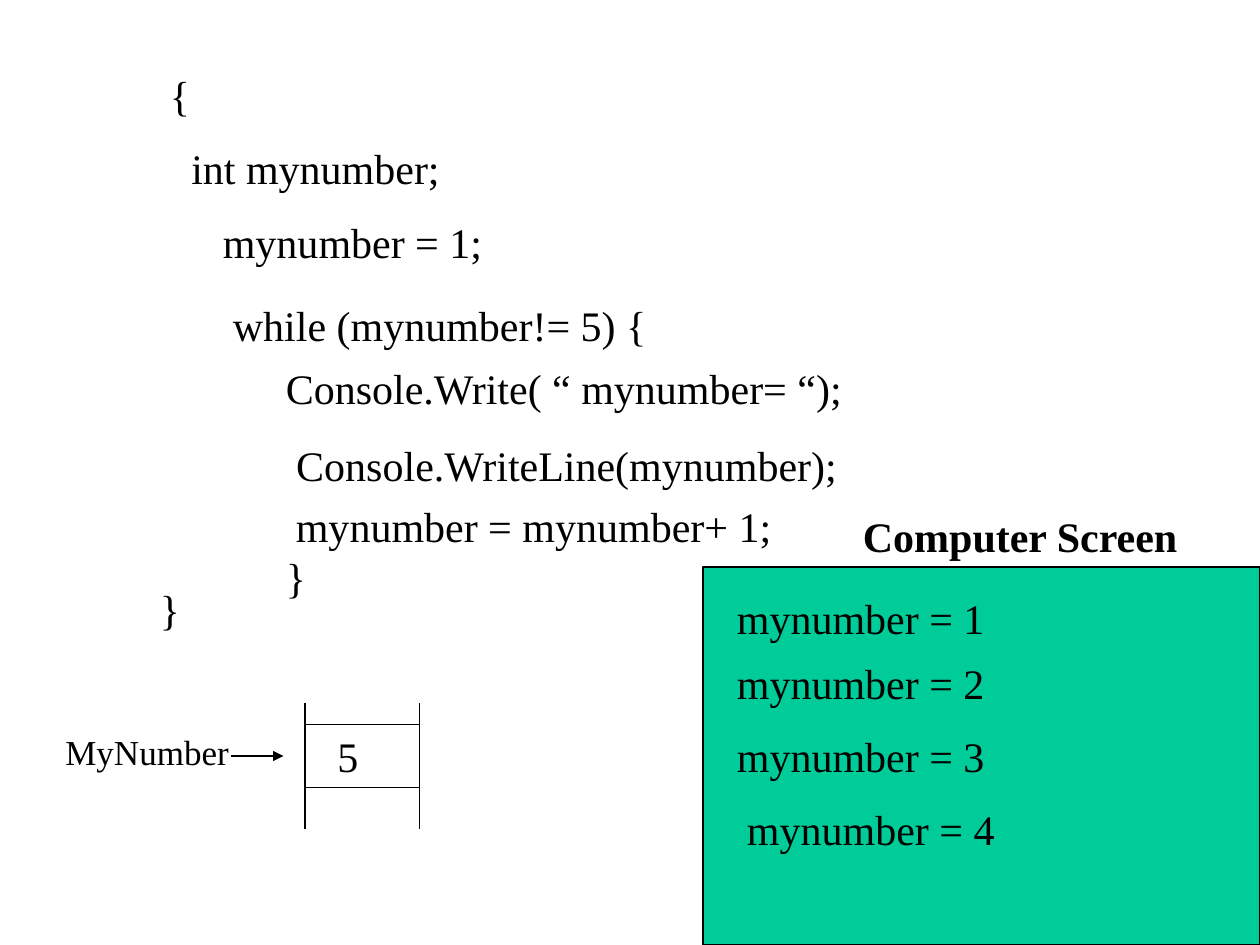
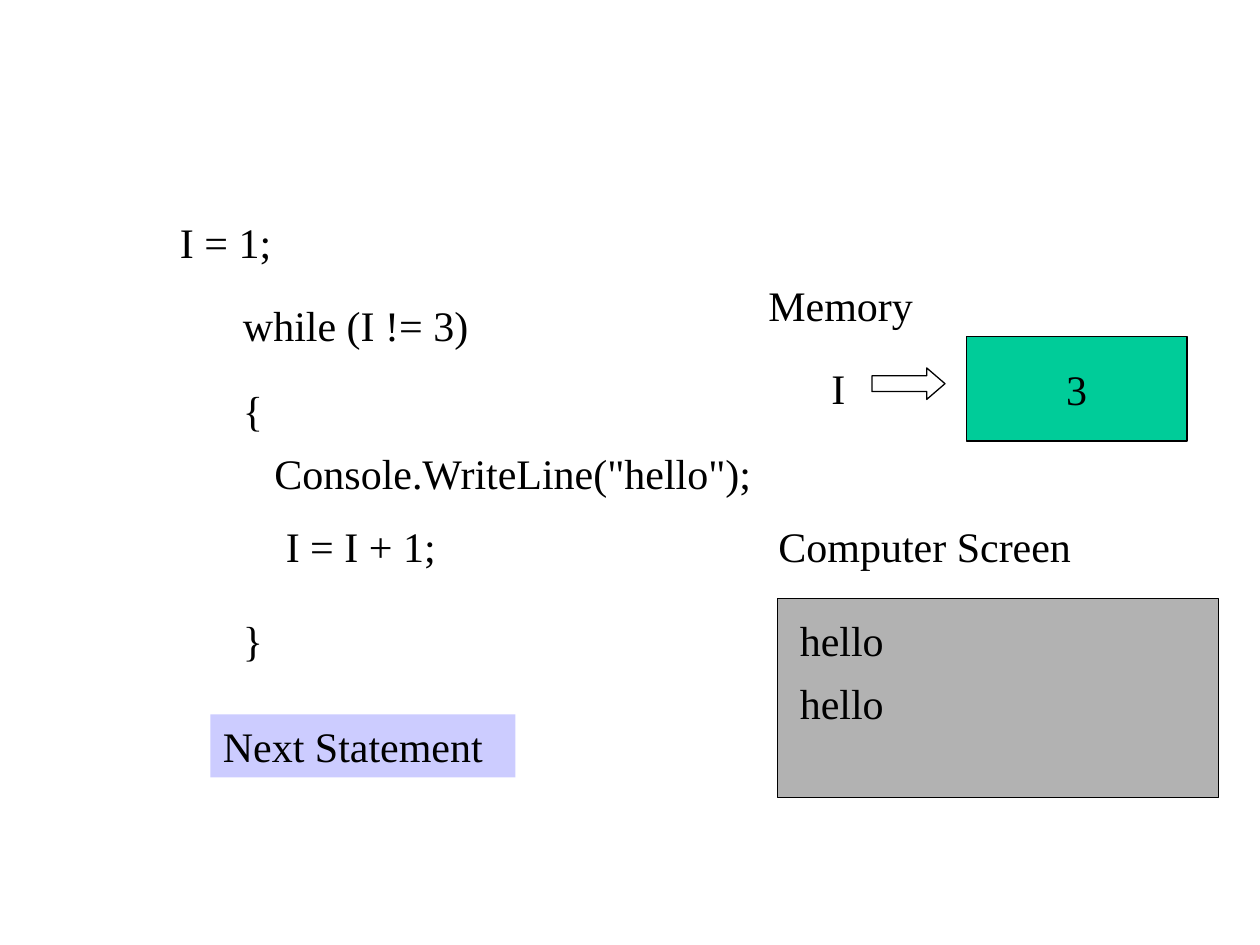
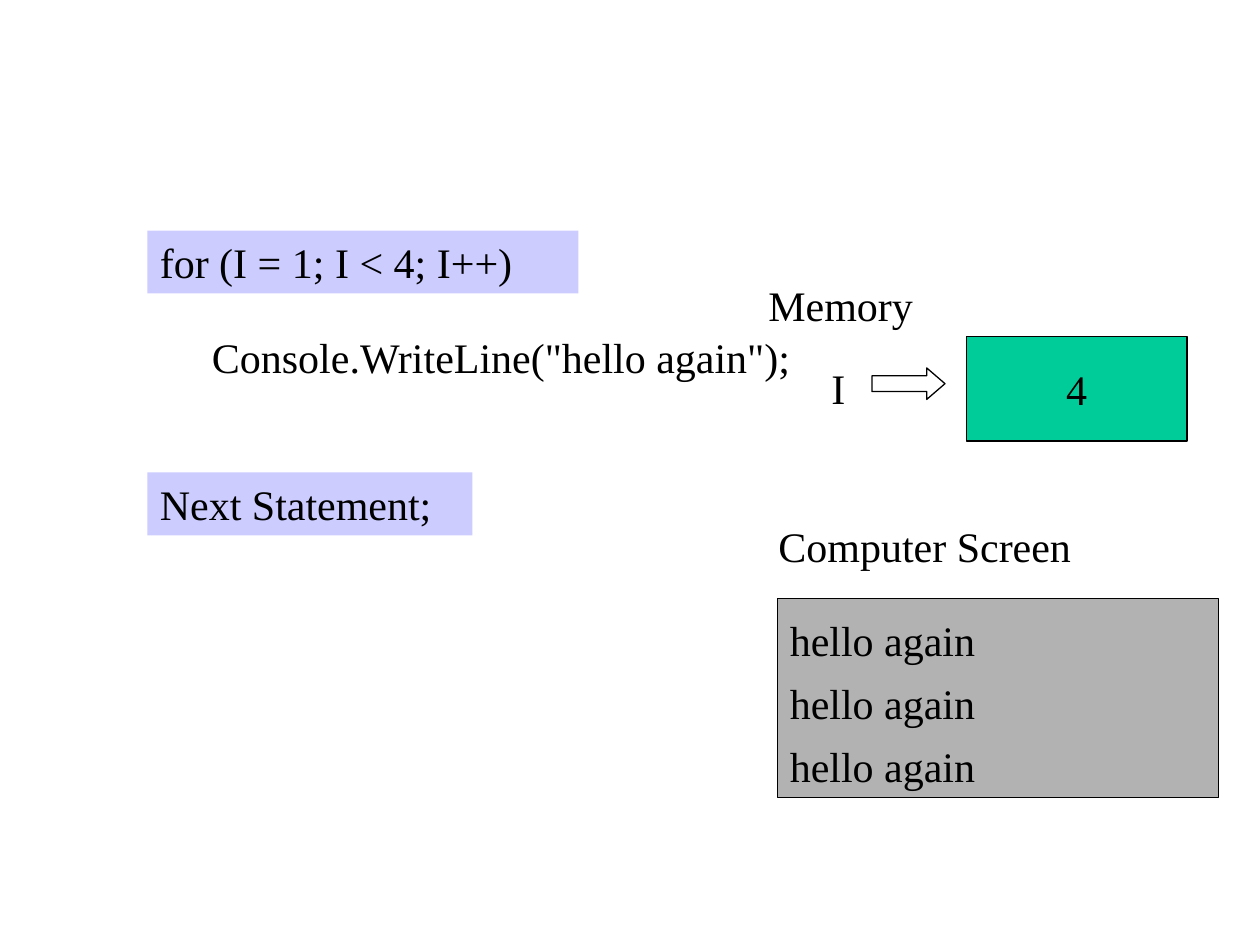
from lxml import etree
from pptx import Presentation
from pptx.dml.color import RGBColor
from pptx.enum.shapes import MSO_CONNECTOR, MSO_SHAPE
from pptx.enum.text import MSO_ANCHOR, MSO_AUTO_SIZE, PP_ALIGN
from pptx.oxml.ns import qn
from pptx.util import Inches, Pt

RECTANGLE = MSO_SHAPE.RECTANGLE
RIGHT_ARROW = MSO_SHAPE.RIGHT_ARROW
STRAIGHT = MSO_CONNECTOR.STRAIGHT
MIDDLE = MSO_ANCHOR.MIDDLE
CENTER = PP_ALIGN.CENTER
GROW = MSO_AUTO_SIZE.SHAPE_TO_FIT_TEXT

COLORS = {
    "ink": "000000",
    "green": "00CC99",
    "gray": "B2B2B2",
    "highlight": "CCCCFF",
}
FONT = "Times New Roman"
TEXT_SIZE = 24
LINE_WIDTH = 0.75
LINE_HEIGHT = 0.5

# Boxes are left, top, width, height in inches
MEMORY_BOX = (6, 2.17, 3.42, 1.33)
SCREEN_BOX = (6.17, 4.75, 3.5, 1.58)

# Code lines: offset right, offset down, width, text, highlighted
COUNTING_CODE = [
    (0.08, 0, 4.5, "{", False),
    (0.25, 0.58, 4.33, "int mynumber;", False),
    (0.5, 1.17, 2.75, "mynumber = 1;", False),
    (0.58, 1.83, 3.75, "while (mynumber!= 5) {", False),
    (1, 2.33, 4.83, "Console.Write( “ mynumber= “);\n Console.WriteLine(mynumber);", False),
    (1.08, 3.42, 4.33, "mynumber = mynumber+ 1;", False),
    (1, 3.83, 1, "}", False),
    (0, 4.08, 2.75, "}", False),
]
WHILE_CODE = [
    (0, 0, 1.08, "I = 1;", False),
    (0.5, 0.66, 2.33, "while (I != 3)", False),
    (0.5, 1.33, 0.67, "{", False),
    (0.75, 1.83, 4.67, 'Console.WriteLine("hello");', False),
    (0.84, 2.41, 2, "I = I + 1;", False),
    (0.5, 3.16, 1.25, "}", False),
    (0.34, 4, 2.42, "Next Statement", True),
]
FOR_CODE = [
    (0, 0, 3.42, "for (I = 1; I < 4; I++)", True),
    (0.33, 0.75, 5.08, ' Console.WriteLine("hello again");', False),
    (0, 1.92, 2.58, "Next Statement;", True),
]


def color(name):
    return RGBColor.from_string(COLORS[name])


def add_run(para, text, size=TEXT_SIZE, bold=False):
    span = para.add_run()
    span.text = text
    span.font.name = FONT
    span.font.size = Pt(size)
    span.font.bold = bold
    span.font.color.rgb = color("ink")


def add_text(page, left, top, width, text, size=TEXT_SIZE, bold=False, fill=None):
    box = page.shapes.add_textbox(*map(Inches, (left, top, width, LINE_HEIGHT)))
    if fill:
        box.fill.solid()
        box.fill.fore_color.rgb = color(fill)
    frame = box.text_frame
    frame.word_wrap = True
    frame.auto_size = GROW
    for index, line in enumerate(text.split("\n")):
        para = frame.add_paragraph() if index else frame.paragraphs[0]
        para.space_before = Pt(size * 0.625)
        add_run(para, line, size, bold)


def add_outlined(page, kind, box, fill=None):
    shape = page.shapes.add_shape(kind, *map(Inches, box))
    shape.shadow.inherit = False
    if fill:
        shape.fill.solid()
        shape.fill.fore_color.rgb = color(fill)
    else:
        shape.fill.background()
    shape.line.color.rgb = color("ink")
    shape.line.width = Pt(LINE_WIDTH)
    return shape


def add_line(page, start, end, arrow=False):
    line = page.shapes.add_connector(STRAIGHT, *map(Inches, start + end))
    line.line.color.rgb = color("ink")
    line.line.width = Pt(LINE_WIDTH)
    if arrow:
        etree.SubElement(line.line._get_or_add_ln(), qn("a:tailEnd"), type="triangle")
    etree.SubElement(line._element.spPr, qn("a:effectLst"))


def add_code(page, origin, lines):
    left, top = origin
    for right, down, width, text, highlighted in lines:
        add_text(page, left + right, top + down, width, text,
                 fill="highlight" if highlighted else None)


def add_screen(page, box, title_place, fill, lines, bold=False):
    """Panel with a title above it; each output line is (right, down, text)."""
    left, top, width, _ = box
    add_outlined(page, RECTANGLE, box, fill)
    title_right, title_down = title_place
    add_text(page, left + title_right, top + title_down, 3, "Computer Screen", bold=bold)
    for right, down, text in lines:
        add_text(page, left + right, top + down, width - 0.9, text)


def add_memory(page, box, value):
    left, top, width, height = box
    add_text(page, left, top, 2.83, "Memory")
    add_text(page, left + 0.5, top + 0.66, 0.75, "I")
    arrow = add_outlined(page, RIGHT_ARROW, (left + 0.92, top + 0.75, 0.58, 0.25))
    arrow.adjustments[1] = 0.58
    # Memory cell in the lower right corner
    cell = add_outlined(
        page, RECTANGLE, (left + width - 1.75, top + height - 0.83, 1.75, 0.83), "green")
    frame = cell.text_frame
    frame.word_wrap = False
    frame.vertical_anchor = MIDDLE
    para = frame.paragraphs[0]
    para.alignment = CENTER
    add_run(para, value)


def add_variable(page, box, name, value):
    left, top, width, height = box
    right, bottom = left + width, top + height
    # Open stack of cells
    for side in (left, right):
        add_line(page, (side, top), (side, bottom))
    for level in (top + 0.17, top + 0.67):
        add_line(page, (left, level), (right, level))
    add_text(page, left + 0.16, top + 0.17, 0.75, value)
    # Name and pointer
    add_text(page, left - 2, top + 0.17, 1.67, name, size=20)
    add_line(page, (left - 0.59, top + 0.42), (left - 0.17, top + 0.42), arrow=True)


def counting_slide(page):
    places = [(0.17, 0.15), (0.17, 0.67), (0.17, 1.25), (0.25, 1.83)]
    output = [(right, down, f"mynumber = {number}")
              for number, (right, down) in enumerate(places, 1)]
    add_screen(page, (5.58, 4.5, 4.42, 3), (1.17, -0.5), "green", output, bold=True)
    add_variable(page, (2.42, 5.58, 0.91, 1), "MyNumber", "5")
    add_code(page, (1.17, 0.5), COUNTING_CODE)


def loop_slide(page, origin, code, value, word, count, indent):
    add_memory(page, MEMORY_BOX, value)
    output = [(indent, 0.08 + LINE_HEIGHT * row, word) for row in range(count)]
    add_screen(page, SCREEN_BOX, (-0.09, -0.67), "gray", output)
    add_code(page, origin, code)


def main():
    deck = Presentation()
    deck.slide_width, deck.slide_height = Inches(10), Inches(7.5)
    blank = deck.slide_layouts[6]
    counting_slide(deck.slides.add_slide(blank))
    loop_slide(deck.slides.add_slide(blank), (1.33, 1.67), WHILE_CODE,
               "3", "hello", 2, 0.08)
    loop_slide(deck.slides.add_slide(blank), (1.17, 1.83), FOR_CODE,
               "4", "hello again", 3, 0)
    deck.save("out.pptx")


if __name__ == "__main__":
    main()
